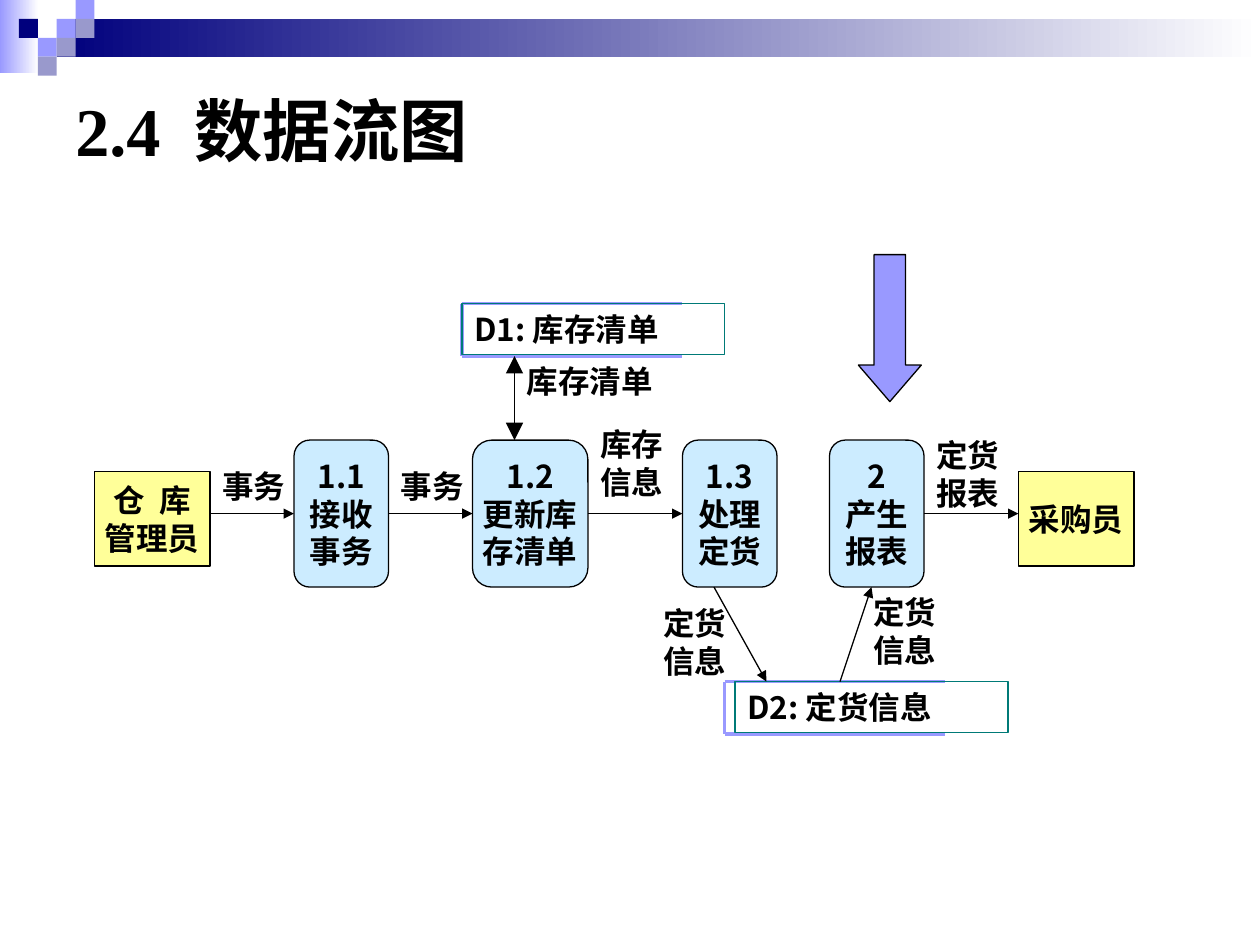
from dataclasses import dataclass

from lxml.etree import SubElement
from pptx import Presentation
from pptx.dml.color import RGBColor
from pptx.enum.shapes import MSO_CONNECTOR, MSO_SHAPE as Kind
from pptx.enum.text import MSO_ANCHOR as Anchor, PP_ALIGN as Align
from pptx.oxml.ns import qn
from pptx.util import Pt


@dataclass(frozen=True)
class Theme:
    black: str = "000000"
    white: str = "FFFFFF"
    navy: str = "00007D"
    lilac: str = "9999FF"
    mist: str = "9999CC"
    yellow: str = "FFFF99"
    sky: str = "CCECFF"
    teal: str = "007A77"
    latin: str = "Times New Roman"
    chinese: str = "Noto Sans CJK SC"
    title_size: float = 39
    body_size: float = 18
    line_pitch: float = 21.6
    thin: float = 0.75
    thick: float = 2


THEME = Theme()
TITLE = "2.4  数据流图"
SQUARE = 10.8
SQUARES = [(3, 1, THEME.lilac), (4, 0, THEME.lilac), (4, 1, THEME.mist), (2, 2, THEME.lilac),
           (1, 1, THEME.navy), (3, 2, THEME.mist), (2, 3, THEME.mist)]
BANDS = [((0, 0, 22, 42), THEME.lilac), ((32.4, 10.8, 687.6, 21.6), THEME.navy)]

FLOW_Y, PROCESS_HEIGHT, ENTITY_TOP = 293.5, 84, 269.5
PROCESS_TOP, PROCESS_BOTTOM = FLOW_Y - PROCESS_HEIGHT / 2, FLOW_Y + PROCESS_HEIGHT / 2
ENTITIES = [(54, "仓  库\n管理员"), (582, "采购员")]
PROCESSES = [(168, 54, "1.1\n接收\n事务"), (270, 66, "1.2\n更新库\n存清单"),
             (390, 54, "1.3\n处理\n定货"), (474, 54, "2\n产生\n报表")]
STORE_HEIGHT = 30
STORES = [(264, 264, 150, 173.5, "D1: 库存清单"), (414, 420, 156, 389.5, "D2: 定货信息")]
STORE_RULE = 126
STORE_FLOWS = [((294, 203.5), (294, PROCESS_TOP), True),
               ((408, PROCESS_BOTTOM), (438, 389.5), False),
               ((480, 389.5), (498, PROCESS_BOTTOM), False)]
LABELS = [(120, 263.5, 54, 29, "事务"), (222, 263.5, 54, 29, "事务"),
          (336, 239.5, 54, 50.5, "库存信息"), (372, 341.5, 54, 50.5, "定货信息"),
          (492, 335.5, 54, 50.5, "定货信息"), (528, 245.5, 54, 50.5, "定货报表"),
          (294, 203.5, 102, 29, "库存清单")]


def color(value):
    return RGBColor.from_string(value)


def add_box(slide, kind, bounds, fill=None, line=None):
    shape = slide.shapes.add_shape(kind, *map(Pt, bounds))
    shape.shadow.inherit = False
    if fill:
        shape.fill.solid()
        shape.fill.fore_color.rgb = color(fill)
    else:
        shape.fill.background()
    if line:
        shape.line.color.rgb = color(line)
        shape.line.width = Pt(THEME.thin)
    else:
        shape.line.fill.background()
    return shape


def add_band(slide, bounds, start):
    shape = add_box(slide, Kind.RECTANGLE, bounds)
    shape.fill.gradient()
    shape.fill.gradient_angle = 0
    for stop, value in zip(shape.fill.gradient_stops, (start, THEME.white)):
        stop.color.rgb = color(value)


def write(shape, text, align=Align.LEFT, anchor=Anchor.TOP, wrap=True,
          size=THEME.body_size, latin=THEME.chinese, pitch=THEME.line_pitch):
    frame = shape.text_frame
    frame.text = text
    frame.word_wrap = wrap
    frame.vertical_anchor = anchor
    for paragraph in frame.paragraphs:
        paragraph.alignment = align
        if pitch:
            paragraph.line_spacing = Pt(pitch)
        for run in paragraph.runs:
            run.font.size = Pt(size)
            run.font.bold = True
            run.font.name = latin
            run.font.color.rgb = color(THEME.black)
            SubElement(run.font._element, qn("a:ea"), typeface=THEME.chinese)


def add_text(slide, bounds, text, **style):
    write(slide.shapes.add_textbox(*map(Pt, bounds)), text, **style)


def add_line(slide, start, end, value=THEME.black, width=THEME.thin, heads=(), head_size="med"):
    line = slide.shapes.add_connector(MSO_CONNECTOR.STRAIGHT, *map(Pt, start + end))
    line.line.color.rgb = color(value)
    line.line.width = Pt(width)
    properties = line._element.spPr
    for head in heads:
        SubElement(properties.find(qn("a:ln")), qn(f"a:{head}"),
                   type="triangle", w=head_size, len=head_size)
    SubElement(properties, qn("a:effectLst"))
    return line


def add_store(slide, left, box_left, width, top, text):
    bottom, right = top + STORE_HEIGHT, left + STORE_RULE
    for start, end in [((left, top), (right, top)), ((left, top), (left, bottom)),
                       ((left, bottom), (right, bottom))]:
        add_line(slide, start, end, THEME.lilac, THEME.thick)
    box = add_box(slide, Kind.RECTANGLE, (box_left, top, width, 29), line=THEME.teal)
    write(box, text)


def add_flow_row(slide):
    centred = dict(align=Align.CENTER, anchor=Anchor.MIDDLE, wrap=False)
    steps = []
    for left, text in ENTITIES:
        box = add_box(slide, Kind.RECTANGLE, (left, ENTITY_TOP, 66, 54), THEME.yellow, THEME.black)
        write(box, text, **centred)
        steps.append((left, 66, box, False))
    for left, width, text in PROCESSES:
        box = add_box(slide, Kind.ROUNDED_RECTANGLE, (left, PROCESS_TOP, width, PROCESS_HEIGHT),
                      THEME.sky, THEME.black)
        write(box, text, **centred)
        steps.append((left, width, box, True))
    steps.sort(key=lambda step: step[0])
    for source, target in zip(steps, steps[1:]):
        if source[2].text_frame.text.startswith("1.3"):
            continue
        line = add_line(slide, (source[0] + source[1], FLOW_Y), (target[0], FLOW_Y),
                        heads=("tailEnd",))
        if source[3]:
            line.begin_connect(source[2], 3)
        if target[3]:
            line.end_connect(target[2], 1)


def main():
    """Build the data flow diagram slide."""
    presentation = Presentation()
    presentation.slide_width, presentation.slide_height = Pt(720), Pt(540)
    slide = presentation.slides.add_slide(presentation.slide_layouts[6])
    for bounds, start in BANDS:
        add_band(slide, bounds, start)
    for column, row, fill in SQUARES:
        add_box(slide, Kind.RECTANGLE, (column * SQUARE, row * SQUARE, SQUARE, SQUARE), fill)
    add_text(slide, (36, 36, 648, 75.6), TITLE, anchor=Anchor.MIDDLE,
             size=THEME.title_size, latin=THEME.latin, pitch=None)
    pointer = add_box(slide, Kind.DOWN_ARROW, (490.5, 145.5, 36, 84), THEME.lilac, THEME.black)
    pointer.adjustments[1] = 0.58
    add_flow_row(slide)
    for store in STORES:
        add_store(slide, *store)
    for start, end, both_ways in STORE_FLOWS:
        heads = ("headEnd", "tailEnd") if both_ways else ("tailEnd",)
        add_line(slide, start, end, heads=heads, head_size="lg" if both_ways else "med")
    for *bounds, text in LABELS:
        add_text(slide, bounds, text)
    presentation.save("out.pptx")


if __name__ == "__main__":
    main()
